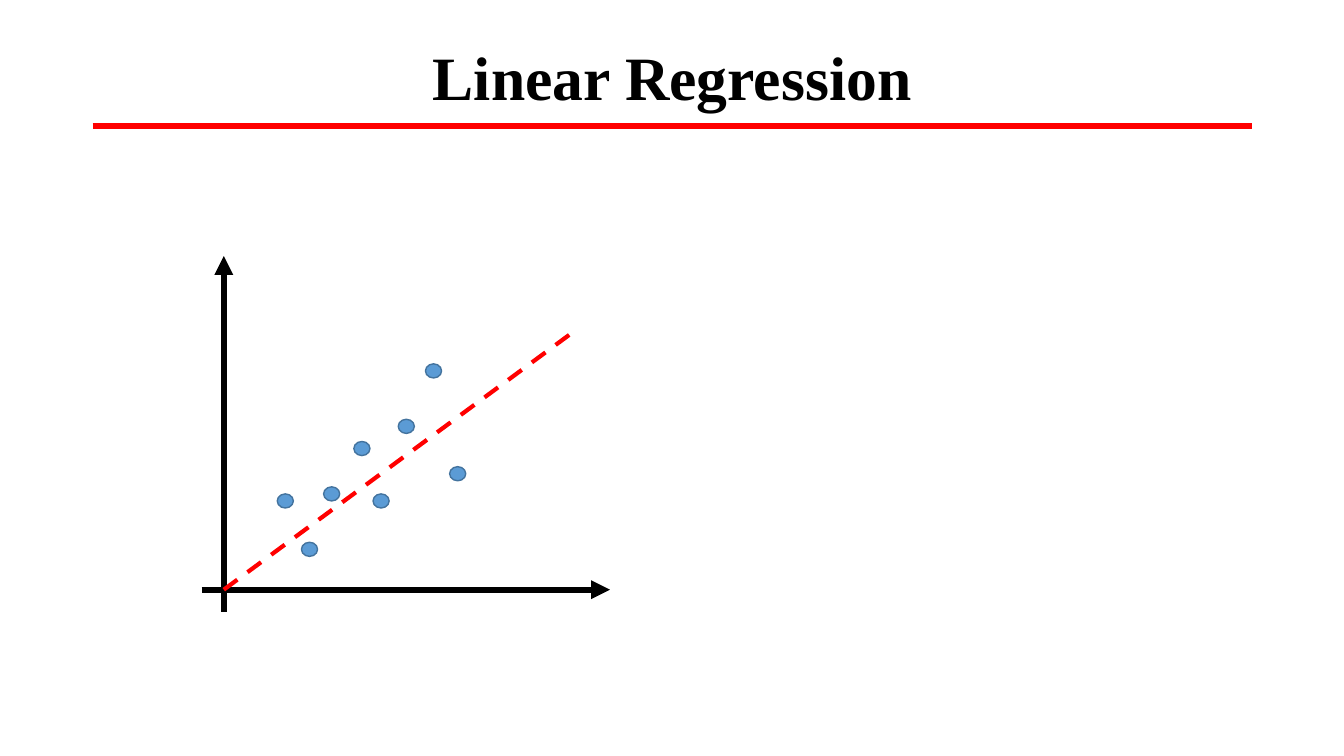
"""Builds the Linear Regression slide with a scatter sketch and a fitted line."""
from pptx import Presentation
from pptx.dml.color import RGBColor
from pptx.enum.dml import MSO_LINE_DASH_STYLE as DASH
from pptx.enum.shapes import MSO_CONNECTOR as CONNECTOR, MSO_SHAPE as SHAPE
from pptx.enum.text import MSO_ANCHOR as ANCHOR, PP_ALIGN as ALIGN
from pptx.oxml.ns import qn
from pptx.util import Inches, Pt
from lxml.etree import SubElement

RED, BLACK, BLUE, DARK_BLUE = "FF0000", "000000", "5B9BD5", "43739E"
ORIGIN_X, ORIGIN_Y = 2.22, 5.85
DOT_WIDTH, DOT_HEIGHT = 0.16, 0.14

deck = Presentation()
deck.slide_width, deck.slide_height = Inches(13.33), Inches(7.5)
page = deck.slides.add_slide(deck.slide_layouts[6])


def add_text(text, left, top, width, height, *, size, font, color, bold=False):
    box = page.shapes.add_textbox(Inches(left), Inches(top), Inches(width), Inches(height))
    frame = box.text_frame
    frame.word_wrap = True
    frame.vertical_anchor = ANCHOR.MIDDLE
    para = frame.paragraphs[0]
    para.alignment = ALIGN.CENTER
    para.line_spacing = 0.9
    span = para.add_run()
    span.text = text
    span.font.size = Pt(size)
    span.font.name = font
    span.font.bold = bold
    span.font.color.rgb = RGBColor.from_string(color)


def add_line(start, end, color, width, *, arrow=False, dash=None):
    points = [Inches(value) for value in (*start, *end)]
    line = page.shapes.add_connector(CONNECTOR.STRAIGHT, *points)
    line.line.color.rgb = RGBColor.from_string(color)
    line.line.width = Pt(width)
    if dash:
        line.line.dash_style = dash
    if arrow:
        SubElement(line.line._get_or_add_ln(), qn("a:tailEnd"), type="triangle")
    SubElement(line._element.spPr, qn("a:effectLst"))


add_line((0.92, 1.25), (12.42, 1.25), RED, 4.5)
add_text("Linear Regression", 0.92, 0.4, 11.5, 0.79,
         size=44, font="Times New Roman", color=BLACK, bold=True)

add_line((ORIGIN_X, 6.07), (ORIGIN_X, 2.54), BLACK, 4.5, arrow=True)
add_line((2, ORIGIN_Y), (6.05, ORIGIN_Y), BLACK, 4.5, arrow=True)

observations = [(2.75, 4.9), (2.99, 5.38), (3.21, 4.83), (3.7, 4.9),
                (3.51, 4.38), (4.46, 4.63), (3.95, 4.16), (4.22, 3.61)]
for left, top in observations:
    dot = page.shapes.add_shape(SHAPE.OVAL, Inches(left), Inches(top),
                                Inches(DOT_WIDTH), Inches(DOT_HEIGHT))
    dot.shadow.inherit = False
    dot.fill.solid()
    dot.fill.fore_color.rgb = RGBColor.from_string(BLUE)
    dot.line.color.rgb = RGBColor.from_string(DARK_BLUE)
    dot.line.width = Pt(1)

add_line((ORIGIN_X, ORIGIN_Y), (5.69, 3.29), RED, 3, dash=DASH.DASH)

deck.save("out.pptx")
